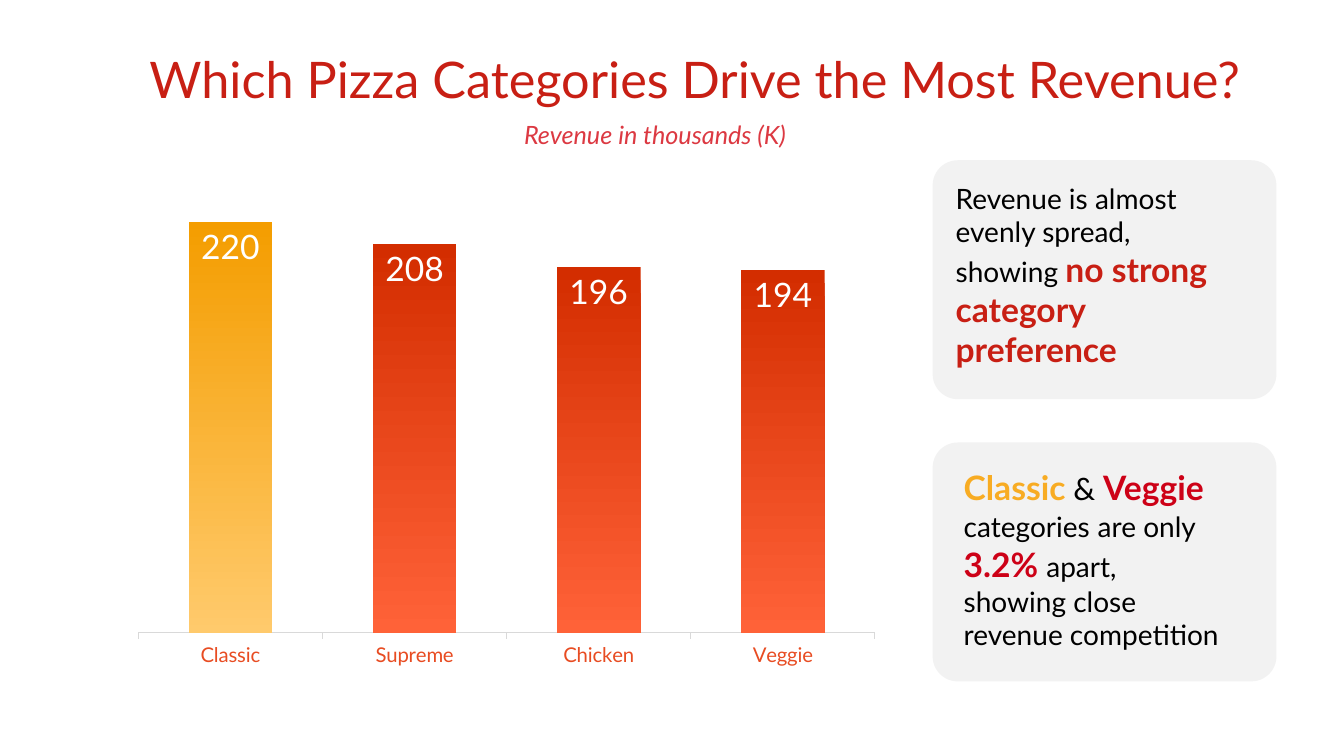
from pptx import Presentation
from pptx import util as u
from pptx.chart.data import CategoryChartData
from pptx.dml.color import RGBColor
from pptx.enum import chart as ce, shapes, text

FONT = "Lato"
COLORS = {
    "title": "C81F14", "subtitle": "DC3942", "card": "F2F2F2", "black": "000000",
    "white": "FFFFFF", "gold": "F8AC23", "red": "CD0117", "axis_text": "E84C22",
    "axis_line": "D9D9D9", "gold_top": "F49D00", "gold_bottom": "FFCA6C",
    "red_top": "D32D00", "red_bottom": "FF6238",
}
TITLE = "Which Pizza Categories Drive the Most Revenue?"
SUBTITLE = "Revenue in thousands (K)"
REVENUE = {"Classic": 220, "Supreme": 208, "Chicken": 196, "Veggie": 194}
LEADER = "Classic"

BODY = {"size": 20}
JOINER = {"size": 22}
CARDS = [
    {"top": 1.59, "text_box": (9.38, 1.75, 2.91, 2.05), "paragraphs": [
        [("Revenue is almost evenly spread, showing ", BODY),
         ("no strong category preference", {"size": 24, "color": "title", "bold": True})],
    ]},
    {"top": 4.39, "text_box": (9.46, 4.58, 2.84, 1.99), "paragraphs": [
        [("Classic", {"size": 24, "color": "gold", "bold": True}),
         (" & ", JOINER),
         ("Veggie", {"size": 24, "color": "red", "bold": True}),
         (" ", JOINER), ("categories", BODY), (" ", JOINER), ("are only", BODY)],
        [("3.2% ", {"size": 24, "color": "red", "bold": True}), ("apart,", BODY)],
        [("showing close", BODY)],
        [("revenue competition", BODY)],
    ]},
]
CARD_LEFT, CARD_WIDTH, CARD_HEIGHT = 9.25, 3.41, 2.37


def rgb(name):
    return RGBColor.from_string(COLORS[name])


def inches(*lengths):
    return [u.Inches(length) for length in lengths]


def format_font(font, size, color="black", bold=False, italic=False):
    font.name = FONT
    font.size = u.Pt(size)
    font.color.rgb = rgb(color)
    font.bold = bold
    font.italic = italic


def add_text(paragraph, content, **font_format):
    run = paragraph.add_run()
    run.text = content
    format_font(run.font, **font_format)


def add_text_box(parent, position, paragraphs):
    frame = parent.add_textbox(*inches(*position)).text_frame
    frame.word_wrap = True
    for index, runs in enumerate(paragraphs):
        paragraph = frame.add_paragraph() if index else frame.paragraphs[0]
        for content, font_format in runs:
            add_text(paragraph, content, **font_format)


def add_revenue_chart(slide):
    data = CategoryChartData()
    data.categories = list(REVENUE)
    data.add_series("Revenue", list(REVENUE.values()))
    chart = slide.shapes.add_chart(
        ce.XL_CHART_TYPE.COLUMN_CLUSTERED, *inches(1.22, 1.54, 7.61, 5.18), data).chart
    chart.has_legend = False
    chart.has_title = False
    format_font(chart.font, size=10)

    category_axis = chart.category_axis
    category_axis.major_tick_mark = ce.XL_TICK_MARK.OUTSIDE
    category_axis.format.line.color.rgb = rgb("axis_line")
    category_axis.format.line.width = u.Pt(0.75)
    format_font(category_axis.tick_labels.font, size=14.5, color="axis_text")

    value_axis = chart.value_axis
    value_axis.minimum_scale = 0
    value_axis.maximum_scale = 250
    value_axis.has_major_gridlines = False
    value_axis.visible = False

    plot = chart.plots[0]
    plot.vary_by_categories = False
    plot.gap_width = 120
    plot.overlap = -27
    series = plot.series[0]
    for index, category in enumerate(REVENUE):
        tone = "gold" if category == LEADER else "red"
        fill = series.points[index].format.fill
        fill.gradient()
        fill.gradient_angle = 270
        for stop, end in zip(fill.gradient_stops, ("top", "bottom")):
            stop.color.rgb = rgb(f"{tone}_{end}")

    labels = series.data_labels
    labels.show_value = True
    labels.position = ce.XL_LABEL_POSITION.INSIDE_END
    format_font(labels.font, size=24, color="white")


def add_card(slide, card):
    group = slide.shapes.add_group_shape().shapes
    panel = group.add_shape(
        shapes.MSO_SHAPE.ROUNDED_RECTANGLE,
        *inches(CARD_LEFT, card["top"], CARD_WIDTH, CARD_HEIGHT))
    panel.adjustments[0] = 0.105
    panel.shadow.inherit = False
    panel.fill.solid()
    panel.fill.fore_color.rgb = rgb("card")
    panel.line.fill.background()
    add_text_box(group, card["text_box"], card["paragraphs"])


def main():
    presentation = Presentation()
    presentation.slide_width, presentation.slide_height = inches(13.33, 7.5)
    slide = presentation.slides.add_slide(presentation.slide_layouts[5])

    title = slide.shapes.title
    title.left, title.top, title.width, title.height = inches(0.98, 0.43, 11.82, 0.71)
    frame = title.text_frame
    frame.auto_size = text.MSO_AUTO_SIZE.NONE
    frame.vertical_anchor = text.MSO_ANCHOR.TOP
    frame.paragraphs[0].alignment = text.PP_ALIGN.CENTER
    add_text(frame.paragraphs[0], TITLE, size=36, color="title")

    add_revenue_chart(slide)
    for card in CARDS:
        add_card(slide, card)
    add_text_box(slide.shapes, (5.1, 1.13, 3.14, 0.4),
                 [[(SUBTITLE, {"size": 18, "color": "subtitle", "italic": True})]])
    presentation.save("out.pptx")


if __name__ == "__main__":
    main()
